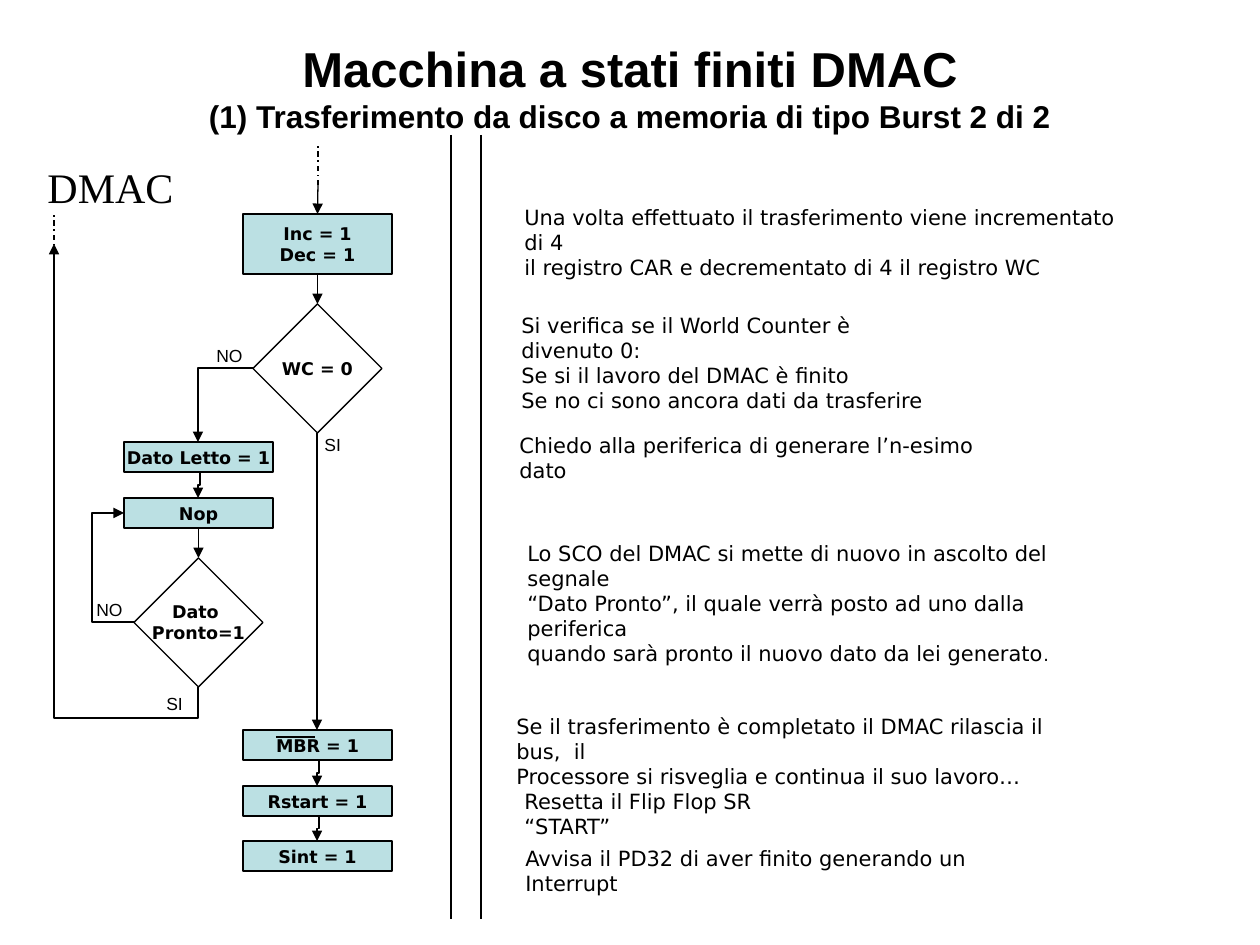
from lxml.etree import SubElement
from pptx import Presentation
from pptx.dml.color import RGBColor
from pptx.enum.dml import MSO_LINE_DASH_STYLE as DASH
from pptx.enum.shapes import MSO_CONNECTOR_TYPE as LINK, MSO_SHAPE as SHAPE
from pptx.enum.text import MSO_ANCHOR as ANCHOR, PP_ALIGN as ALIGN
from pptx.oxml.ns import qn
from pptx.util import Emu, Pt

SCALE = 914400 / 126
COLORS = {"ink": "000000", "state": "BBE0E3", "test": "FFFFFF"}
MONO_FREE, SANS, SERIF = "DejaVu Sans", "Arial", "Times New Roman"

NOTES = [
    (512, 198, 619, 63, ["Una volta effettuato il trasferimento viene incrementato di 4",
                         "il registro CAR e decrementato di 4 il registro WC"]),
    (509, 306, 445, 88, ["Si verifica se il World Counter è divenuto 0:",
                         "Se si il lavoro del DMAC è finito",
                         "Se no ci sono ancora dati da trasferire"]),
    (507, 426, 498, 38, ["Chiedo alla periferica di generare l’n-esimo dato"]),
    (515, 534, 597, 88, ["Lo SCO del DMAC si mette di nuovo in ascolto del segnale",
                         "“Dato Pronto”, il quale verrà posto ad uno dalla periferica",
                         "quando sarà pronto il nuovo dato da lei generato"]),
    (504, 707, 583, 63, ["Se il trasferimento è completato il DMAC rilascia il bus,  il",
                         "Processore si risveglia e continua il suo lavoro…"]),
    (512, 782, 320, 38, ["Resetta il Flip Flop SR “START”"]),
    (513, 839, 530, 38, ["Avvisa il PD32 di aver finito generando un Interrupt"]),
]
LABELS = [(312, 428, 42, "SI"), (204, 339, 52, "NO"), (84, 593, 52, "NO"), (154, 687, 42, "SI")]


def px(*values):
    return [Emu(round(v * SCALE)) for v in values]


def color(name):
    return RGBColor.from_string(COLORS[name])


def add_run(p, text, size, font, bold=False):
    r = p.add_run()
    r.text = text
    r.font.size = Pt(size)
    r.font.name = font
    r.font.bold = bold
    r.font.color.rgb = color("ink")


def write(tf, lines, size, font, bold=False, align=ALIGN.LEFT):
    for i, line in enumerate(lines):
        p = tf.add_paragraph() if i else tf.paragraphs[0]
        p.alignment = align
        add_run(p, line, size, font, bold)


def add_title(s, heading, subtitle):
    sp = s.shapes.title
    sp.left, sp.top, sp.width, sp.height = px(63, 38, 1134, 97)
    tf = sp.text_frame
    tf.vertical_anchor = ANCHOR.MIDDLE
    p = tf.paragraphs[0]
    p.alignment = ALIGN.CENTER
    add_run(p, heading, 28, SANS, True)
    p.add_line_break()
    add_run(p, subtitle, 18, SANS, True)


def add_text(s, box, lines, size, font, wrap=False, align=ALIGN.LEFT):
    tf = s.shapes.add_textbox(*px(*box)).text_frame
    tf.word_wrap = wrap
    write(tf, lines, size, font, align=align)
    return tf


def add_node(s, kind, fill, box, lines):
    sp = s.shapes.add_shape(kind, *px(*box))
    sp.shadow.inherit = False
    sp.fill.solid()
    sp.fill.fore_color.rgb = color(fill)
    sp.line.color.rgb = color("ink")
    sp.line.width = Pt(0.75)
    tf = sp.text_frame
    tf.word_wrap = False
    tf.vertical_anchor = ANCHOR.MIDDLE
    write(tf, lines, 10, MONO_FREE, True, ALIGN.CENTER)
    return sp


def add_state(s, x, y, lines, height=30):
    return add_node(s, SHAPE.RECTANGLE, "state", (x, y, 149, height), lines)


def add_test(s, x, y, lines):
    return add_node(s, SHAPE.DIAMOND, "test", (x, y, 129, 129), lines)


def style_link(c, arrow, dash=None):
    c.line.color.rgb = color("ink")
    c.line.width = Pt(0.75)
    if dash:
        c.line.dash_style = dash
    if arrow:
        SubElement(c.line._get_or_add_ln(), qn("a:tailEnd"), type="triangle")
    SubElement(c._element.spPr, qn("a:effectLst"))


def add_line(s, ends, arrow=False, dash=None, begin=None, end=None):
    c = s.shapes.add_connector(LINK.STRAIGHT, *px(*ends))
    if begin:
        c.begin_connect(begin, 2)
    if end:
        c.end_connect(end, 0)
    style_link(c, arrow, dash)


def add_elbow(s, ends, adj=None, vertical=False, corner=False):
    x1, y1, x2, y2 = ends
    if vertical:
        w, h = abs(y2 - y1), abs(x2 - x1)
        left, top = (x1 + x2 - w) / 2, (y1 + y2 - h) / 2
        up = y2 < y1
        flip = x2 < x1 if up else x2 > x1
        ends = (left, top + h, left + w, top) if flip else (left, top, left + w, top + h)
    c = s.shapes.add_connector(LINK.ELBOW, *px(*ends))
    spPr = c._element.spPr
    if vertical:
        spPr.find(qn("a:xfrm")).set("rot", str((270 if up else 90) * 60000))
    geom = spPr.find(qn("a:prstGeom"))
    if corner:
        geom.set("prst", "bentConnector2")
    if adj is not None:
        SubElement(geom.find(qn("a:avLst")), qn("a:gd"), name="adj1", fmla=f"val {round(adj * 100000)}")
    style_link(c, True)


def add_flow(s):
    inc = add_state(s, 243, 214, ["Inc = 1", "Dec = 1"], 60)
    counter = add_test(s, 253, 304, ["WC = 0"])
    add_state(s, 124, 442, ["Dato Letto = 1"])
    nop = add_state(s, 124, 498, ["Nop"])
    ready = add_test(s, 134, 558, ["Dato ", "Pronto=1"])
    for y, text in [(730, "MBR = 1"), (786, "Rstart = 1"), (841, "Sint = 1")]:
        add_state(s, 243, y, [text])
    add_line(s, (276, 737, 315, 737))

    for x, y1, y2 in [(318, 185, 145), (54, 254, 214)]:
        add_line(s, (x, y1, x, y2), dash=DASH.DASH_DOT)
    add_line(s, (318, 185, 318, 214), arrow=True, end=inc)
    add_line(s, (318, 274, 318, 304), arrow=True, begin=inc, end=counter)
    add_line(s, (199, 528, 199, 558), arrow=True, begin=nop, end=ready)

    add_elbow(s, (253, 368, 198, 442), corner=True)
    add_elbow(s, (134, 622, 124, 513), adj=4.2)
    add_elbow(s, (198, 687, 54, 244), adj=-0.07, vertical=True)
    add_elbow(s, (317, 433, 317, 730), vertical=True)
    for x, y1, y2 in [(200, 472, 498), (319, 760, 786), (319, 816, 841)]:
        add_elbow(s, (x, y1, x - 2, y2), vertical=True)


def main():
    prs = Presentation()
    prs.slide_width, prs.slide_height = px(1260, 945)
    s = prs.slides.add_slide(prs.slide_layouts[5])
    add_title(s, "Macchina a stati finiti DMAC",
              "(1) Trasferimento da disco a memoria di tipo Burst 2 di 2")
    for x in (451, 481):
        add_line(s, (x, 135, x, 919))
    add_text(s, (35, 155, 151, 63), ["DMAC"], 24, SERIF, align=ALIGN.CENTER)
    add_flow(s)
    for x, y, w, text in LABELS:
        add_text(s, (x, y, w, 34), [text], 10, SANS)
    for *box, lines in NOTES:
        tf = add_text(s, box, lines, 12, MONO_FREE, wrap=True)
        if lines[-1].endswith("lei generato"):
            add_run(tf.paragraphs[-1], ".", 10, MONO_FREE)
    prs.save("out.pptx")


if __name__ == "__main__":
    main()
